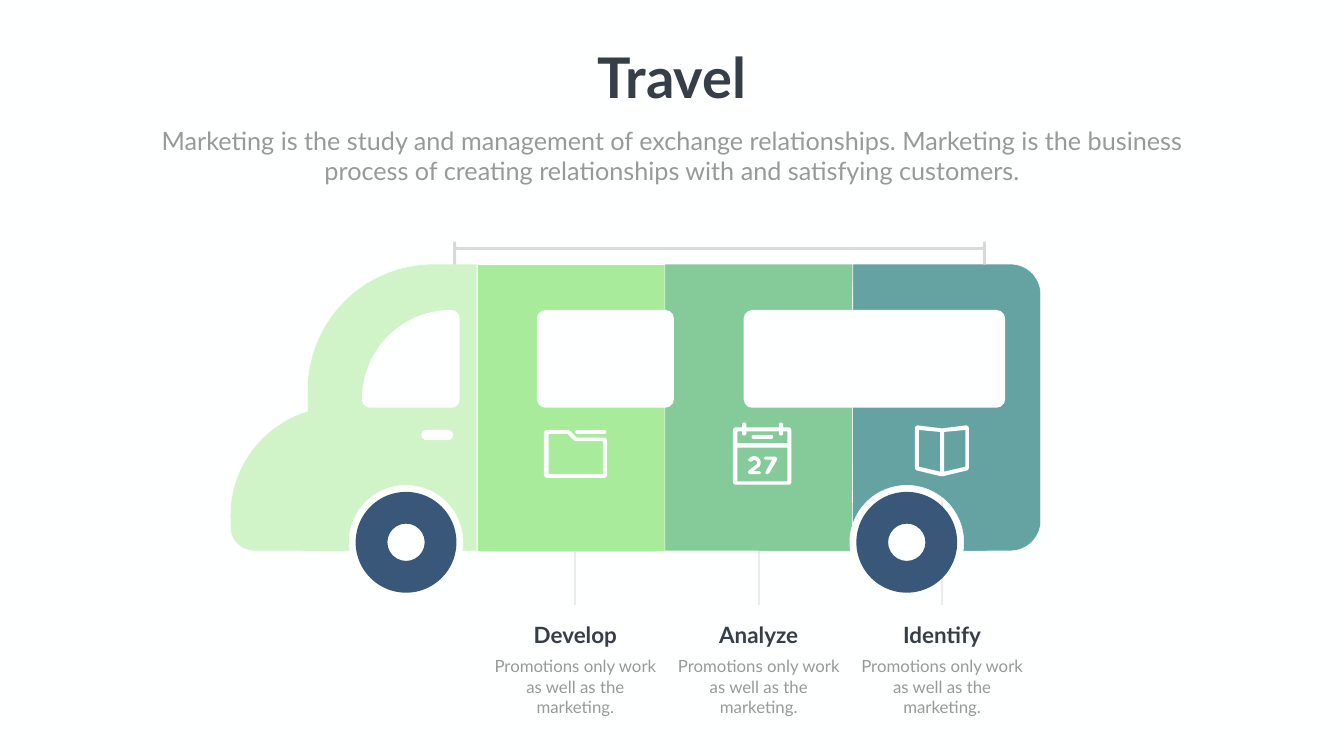
from math import cos, radians, sin

from lxml import etree
from pptx import Presentation
from pptx.dml.color import RGBColor
from pptx.enum.shapes import MSO_CONNECTOR, MSO_SHAPE
from pptx.enum.text import MSO_ANCHOR, PP_ALIGN
from pptx.oxml.ns import qn
from pptx.util import Cm, Pt

WHITE = RGBColor(0xFE, 0xFF, 0xFF)
DARK = RGBColor(0x36, 0x3E, 0x48)
GRAY = RGBColor(0x99, 0x99, 0x99)
RACK_GRAY = RGBColor(0xD9, 0xD9, 0xD9)
LEADER_GRAY = RGBColor(0xEB, 0xEB, 0xEB)
CAB_GREEN = RGBColor(0xD0, 0xF3, 0xC8)
DEVELOP_GREEN = RGBColor(0xA7, 0xEB, 0x9B)
ANALYZE_GREEN = RGBColor(0x84, 0xCB, 0x99)
IDENTIFY_TEAL = RGBColor(0x65, 0xA2, 0xA2)
WHEEL_BLUE = RGBColor(0x39, 0x58, 0x79)

deck = Presentation()
deck.slide_width, deck.slide_height = Cm(67.72), Cm(38.1)
slide = deck.slides.add_slide(deck.slide_layouts[5])
slide.background.fill.solid()
slide.background.fill.fore_color.rgb = WHITE
shapes = slide.shapes


def arc(center_x, center_y, radius, start, end):
    """Points on a circle, in cm; angles in degrees run clockwise from the right."""
    steps = max(6, round(abs(end - start) / 3))
    angles = [radians(start + (end - start) * i / steps) for i in range(steps + 1)]
    return [(center_x + radius * cos(a), center_y + radius * sin(a)) for a in angles]


def draw(contours, fill, edge=None):
    """Filled outline; contours after the first are cut out as holes."""
    contours = [[(Cm(x), Cm(y)) for x, y in contour] for contour in contours]
    builder = shapes.build_freeform(*contours[0][0])
    builder.add_line_segments(contours[0][1:])
    for contour in contours[1:]:
        builder.move_to(*contour[0])
        builder.add_line_segments(contour[1:])
    shape = builder.convert_to_shape()
    shape.shadow.inherit = False
    shape.fill.solid()
    shape.fill.fore_color.rgb = fill
    if edge is None:
        shape.line.fill.background()
    else:
        shape.line.color.rgb = edge
        shape.line.width = Pt(0.75)


# Leader lines to the labels
columns = [28.99 + 9.24 * i for i in range(3)]
for x in columns:
    leader = shapes.add_connector(MSO_CONNECTOR.STRAIGHT, Cm(x), Cm(25.2), Cm(x), Cm(30.5))
    leader.line.color.rgb = LEADER_GRAY
    leader.line.width = Pt(3)
    etree.SubElement(leader._element.spPr, qn("a:effectLst"))

# Van body: cab and three panels, with wheel arches
ROOF, FLOOR, AXLE, ARCH = 13.31, 27.76, 27.33, 2.87
FRONT_WHEEL, REAR_WHEEL = 20.46, 45.69
seams = [24.03 + 9.47 * i for i in range(4)]
cab = [
    *arc(21.84, 19.66, 6.35, 270, 180),
    *arc(17.09, 25.98, 5.49, 253, 180),
    *arc(12.8, 26.57, 1.19, 180, 90),
    *arc(FRONT_WHEEL, AXLE, ARCH, 171, 369),
    (seams[0], FLOOR), (seams[0], ROOF),
]
develop = [(seams[0], ROOF), (seams[0], FLOOR), (seams[1], FLOOR), (seams[1], ROOF)]
analyze = [
    (seams[1], ROOF), (seams[1], FLOOR),
    *arc(REAR_WHEEL, AXLE, ARCH, 171, 197.5),
    (seams[2], ROOF),
]
identify = [
    (seams[2], ROOF),
    *arc(REAR_WHEEL, AXLE, ARCH, 197.5, 369),
    *arc(seams[3] - 1.52, FLOOR - 1.52, 1.52, 90, 0),
    *arc(seams[3] - 1.52, ROOF + 1.52, 1.52, 0, -90),
]
for panel, color in [(cab, CAB_GREEN), (develop, DEVELOP_GREEN),
                     (analyze, ANALYZE_GREEN), (identify, IDENTIFY_TEAL)]:
    draw([panel], color, WHITE)

for x in (FRONT_WHEEL, REAR_WHEEL):
    wheel = shapes.add_shape(MSO_SHAPE.DONUT, Cm(x - 2.54), Cm(AXLE - 2.54), Cm(5.08), Cm(5.08))
    wheel.adjustments[0] = 0.315
    wheel.shadow.inherit = False
    wheel.fill.solid()
    wheel.fill.fore_color.rgb = WHEEL_BLUE
    wheel.line.fill.background()

windshield = [
    *arc(22.73, 20.11, 4.49, 180, 270),
    *arc(22.72, 16.06, 0.44, 270, 360),
    *arc(22.72, 20.11, 0.44, 0, 90),
    *arc(18.68, 20.11, 0.44, 90, 180),
]
draw([windshield], WHITE)

# Icons
folder = [
    [*arc(27.57, 21.83, 0.16, 180, 270), (28.63, 21.67), (28.73, 21.72), (29.06, 22.05),
     *arc(30.42, 22.21, 0.16, 270, 360), *arc(30.42, 23.92, 0.16, 0, 90),
     *arc(27.57, 23.92, 0.16, 90, 180)],
    [(27.64, 21.87), (28.6, 21.87), (28.93, 22.2), (29.03, 22.23),
     (30.38, 22.23), (30.38, 23.88), (27.64, 23.88)],
]
calendar = [
    [*arc(37.08, 21.69, 0.15, 180, 270), *arc(39.73, 21.69, 0.15, 270, 360),
     *arc(39.73, 24.28, 0.15, 0, 90), *arc(37.08, 24.28, 0.15, 90, 180)],
    [(37.16, 21.74), (39.67, 21.74), (39.67, 22.33), (37.16, 22.33)],
    [(37.16, 22.56), (39.67, 22.56), (39.67, 24.26), (37.16, 24.26)],
]
digit_two = [
    [*arc(38, 23.32, 0.33, 205, 395), (37.95, 23.75), (38.28, 23.75), (38.35, 23.82),
     (38.28, 23.9), (37.76, 23.9), (37.69, 23.82), (37.72, 23.72), (37.97, 23.52),
     *arc(38.02, 23.32, 0.13, 60, -140), (37.8, 23.27), (37.72, 23.22)],
]
digit_seven = [
    [(38.56, 23.01), (39.07, 23.01), (39.17, 23.09), (39.14, 23.19), (38.76, 23.85),
     (38.66, 23.9), (38.56, 23.85), (38.58, 23.77), (38.91, 23.16), (38.56, 23.16),
     (38.48, 23.09)],
]
book = [
    [*arc(46.25, 21.59, 0.15, 180, 270), (47.46, 21.59), *arc(48.67, 21.59, 0.15, 270, 360),
     *arc(48.67, 23.57, 0.15, 0, 70), (47.52, 24), (47.4, 24),
     *arc(46.25, 23.57, 0.15, 110, 180)],
    [(46.3, 21.67), (47.37, 21.77), (47.37, 23.77), (46.3, 23.52)],
    [(48.64, 21.67), (47.57, 21.77), (47.57, 23.77), (48.64, 23.52)],
]
for icon in (folder, calendar, digit_two, digit_seven, book):
    draw(icon, WHITE)

# Rounded bars: left, top, width, height, corner radius, color
bars = [
    (27.05, 15.62, 6.91, 4.93, 0.44, WHITE),  # side window
    (37.47, 15.62, 13.18, 4.93, 0.44, WHITE),  # rear window
    (21.23, 21.67, 1.6, 0.51, 0.25, WHITE),  # door handle
    (22.83, 12.17, 0.15, 1.17, 0.07, RACK_GRAY),  # roof rack
    (49.53, 12.17, 0.15, 1.17, 0.07, RACK_GRAY),
    (22.89, 12.45, 26.8, 0.15, 0.07, RACK_GRAY),
    (28.98, 21.67, 1.57, 0.2, 0.1, WHITE),  # folder tab
    (37.39, 21.29, 0.22, 0.66, 0.11, WHITE),  # calendar rings
    (39.24, 21.29, 0.22, 0.66, 0.11, WHITE),
    (37.87, 21.92, 1.09, 0.2, 0.1, WHITE),  # calendar heading
]
for left, top, width, height, radius, color in bars:
    bar = shapes.add_shape(MSO_SHAPE.ROUNDED_RECTANGLE, Cm(left), Cm(top), Cm(width), Cm(height))
    bar.adjustments[0] = radius / min(width, height)
    bar.shadow.inherit = False
    bar.fill.solid()
    bar.fill.fore_color.rgb = color
    bar.line.fill.background()

# Texts: box, left, top, width, height, lines, size, color, bold
title = shapes.title
subtitle = ("Marketing is the study and management of exchange relationships. "
            "Marketing is the business process of creating relationships with "
            "and satisfying customers.")
promotion = ["Promotions only work", "as well as the marketing."]
texts = [
    (title, 29.6, 2.01, 8.53, 3.68, ["Travel"], 80, DARK, True),
    (None, 6.81, 6.2, 54.1, 3.33, [subtitle], 36, GRAY, False),
]
for x, label in zip(columns, ["Develop", "Analyze", "Identify"]):
    texts.append((None, x - 3.31, 31.17, 6.62, 1.63, [label], 32, DARK, True))
    texts.append((None, x - 4.57, 32.94, 9.14, 3.33, promotion, 24, GRAY, False))

for box, left, top, width, height, lines, size, color, bold in texts:
    if box is None:
        box = shapes.add_textbox(0, 0, 0, 0)
    box.left, box.top, box.width, box.height = Cm(left), Cm(top), Cm(width), Cm(height)
    frame = box.text_frame
    frame.word_wrap = box is not title
    frame.vertical_anchor = MSO_ANCHOR.TOP
    for i, line in enumerate(lines):
        para = frame.add_paragraph() if i else frame.paragraphs[0]
        para.alignment = PP_ALIGN.CENTER
        span = para.add_run()
        span.text = line
        span.font.name = "Lato"
        span.font.size = Pt(size)
        span.font.bold = bold
        span.font.color.rgb = color

deck.save("out.pptx")
